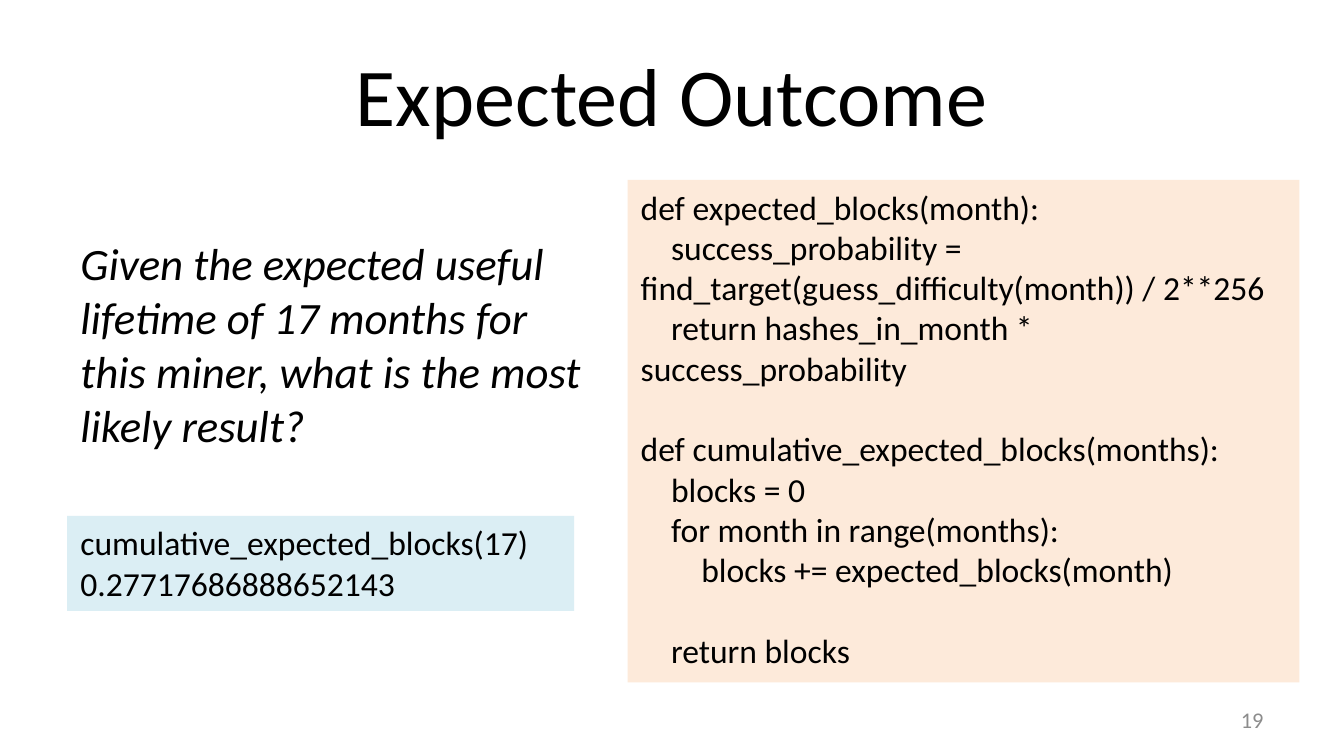
import pptx
import pptx.dml.color
import pptx.enum.shapes
import pptx.enum.text
import pptx.util

Cm = pptx.util.Cm
ALIGN = pptx.enum.text.PP_ALIGN
ANCHOR = pptx.enum.text.MSO_ANCHOR

COLOURS = {
    "text": "000000",
    "number": "8C8C8C",
    "code": "FDEADA",
    "result": "DBEEF4",
}

QUESTION = ("Given the expected useful lifetime of 17 months for this miner, "
            "what is the most likely result?")

CODE = """def expected_blocks(month):
    success_probability = find_target(guess_difficulty(month)) / 2**256
    return hashes_in_month * success_probability

def cumulative_expected_blocks(months):
    blocks = 0
    for month in range(months):
        blocks += expected_blocks(month)
        
    return blocks"""

RESULT = """cumulative_expected_blocks(17)
0.27717686888652143"""


def colour(name):
    return pptx.dml.color.RGBColor.from_string(COLOURS[name])


def write_lines(shape, text, size, text_colour="text", align=ALIGN.LEFT,
                anchor=ANCHOR.TOP, italic=False):
    """Fill the shape with one paragraph for each line of text."""
    frame = shape.text_frame
    frame.word_wrap = True
    frame.vertical_anchor = anchor
    font_format = {"name": "Calibri", "size": pptx.util.Pt(size), "italic": italic}
    for index, line in enumerate(text.split("\n")):
        paragraph = frame.add_paragraph() if index else frame.paragraphs[0]
        paragraph.alignment = align
        run = paragraph.add_run()
        run.text = line
        for attribute, value in font_format.items():
            setattr(run.font, attribute, value)
        run.font.color.rgb = colour(text_colour)


def add_text(slide, box, text, size, **text_format):
    shape = slide.shapes.add_textbox(*map(Cm, box))
    write_lines(shape, text, size, **text_format)


def add_code_panel(slide, box, text, fill):
    rectangle = pptx.enum.shapes.MSO_SHAPE.RECTANGLE
    shape = slide.shapes.add_shape(rectangle, *map(Cm, box))
    shape.shadow.inherit = False
    shape.fill.solid()
    shape.fill.fore_color.rgb = colour(fill)
    shape.line.fill.background()
    write_lines(shape, text, 18)


def main():
    presentation = pptx.Presentation()
    presentation.slide_width = Cm(25.4)
    presentation.slide_height = Cm(14.29)
    slide = presentation.slides.add_slide(presentation.slide_layouts[6])

    add_text(slide, (1.27, 0.58, 22.86, 2.39), "Expected Outcome", 44,
             align=ALIGN.CENTER, anchor=ANCHOR.MIDDLE)
    add_text(slide, (18.21, 13.23, 5.92, 0.76), "19", 12, text_colour="number",
             align=ALIGN.RIGHT, anchor=ANCHOR.MIDDLE)
    add_text(slide, (1.27, 4.34, 10.29, 4.37), QUESTION, 24, italic=True)
    add_code_panel(slide, (11.86, 3.4, 12.7, 9.5), CODE, "code")
    add_code_panel(slide, (1.27, 9.75, 9.58, 1.8), RESULT, "result")

    presentation.save("out.pptx")


if __name__ == "__main__":
    main()
